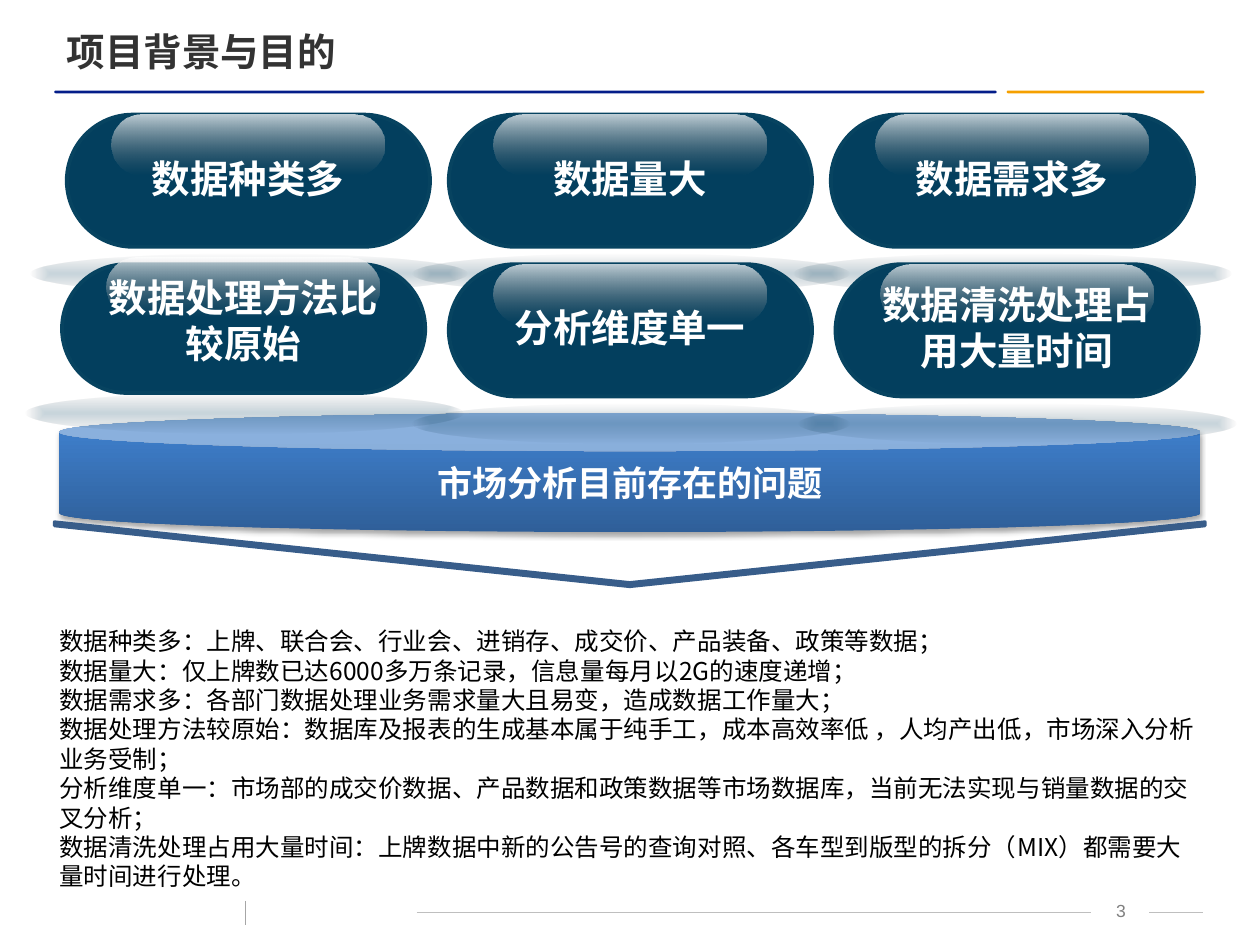
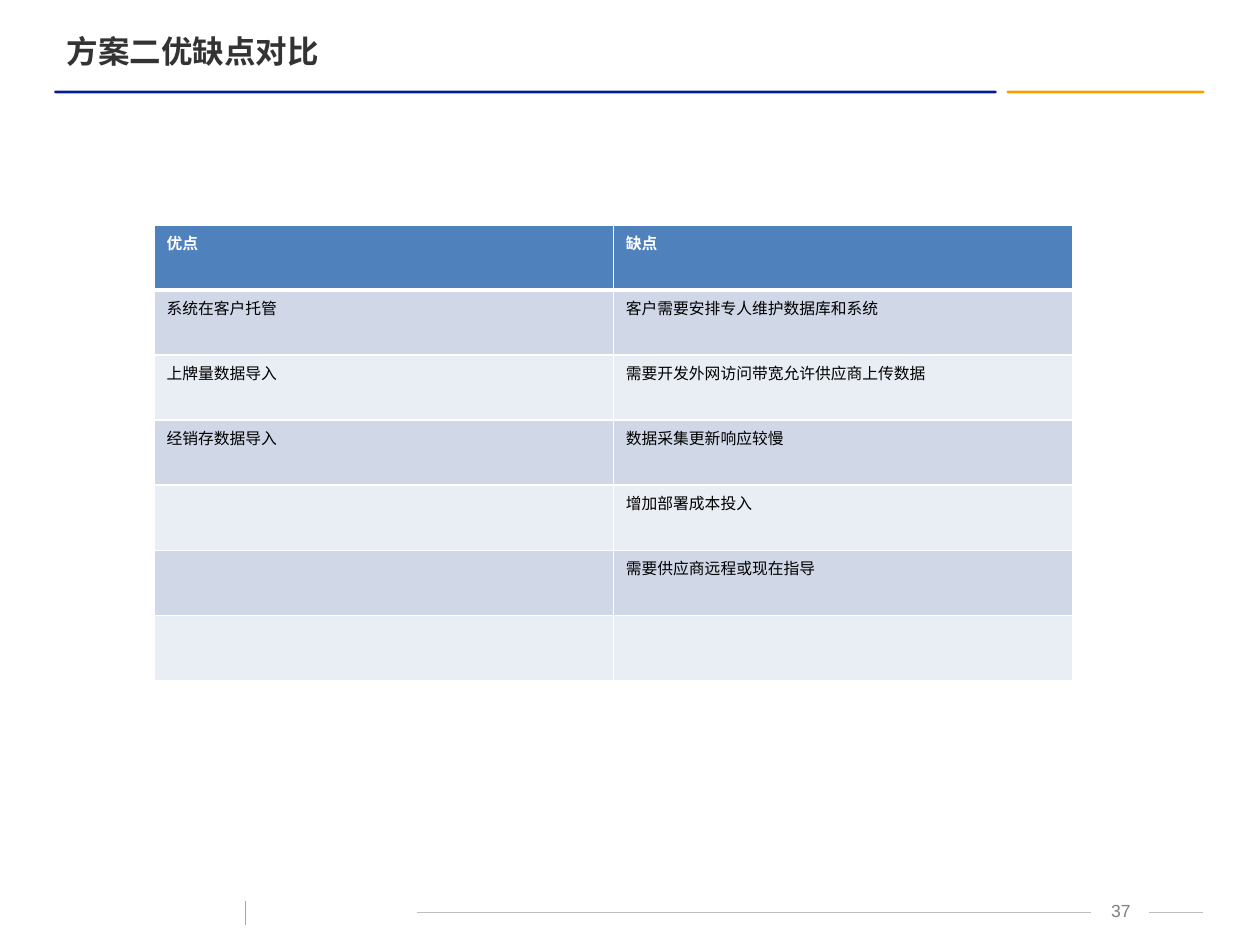
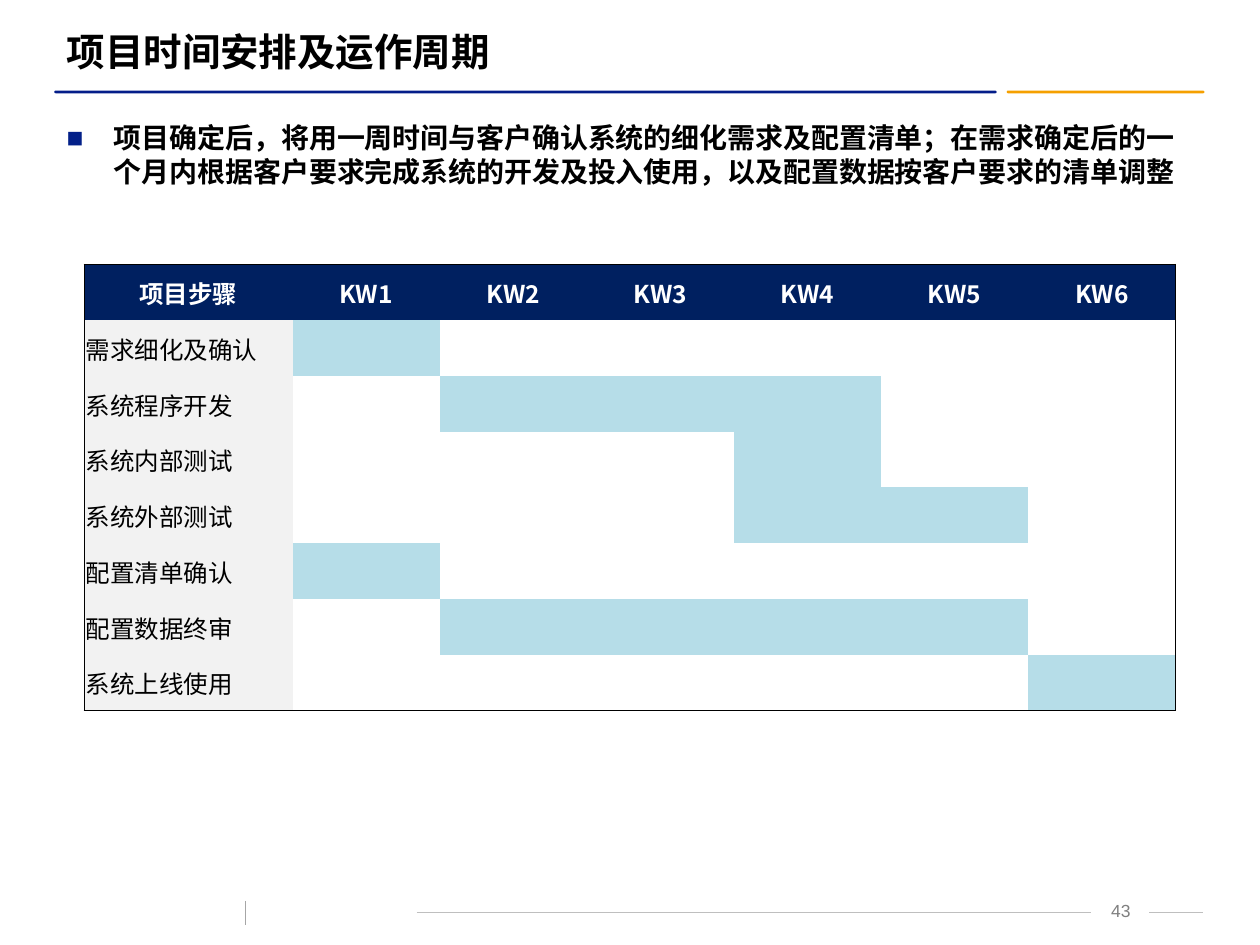
from dataclasses import dataclass

from lxml.etree import SubElement
from pptx import Presentation
from pptx.dml.color import RGBColor
from pptx.enum.shapes import MSO_CONNECTOR, MSO_SHAPE
from pptx.enum.text import MSO_ANCHOR, MSO_AUTO_SIZE, PP_ALIGN
from pptx.oxml.ns import qn
from pptx.util import Pt


@dataclass(frozen=True)
class Theme:
    latin: str = "Arial"
    chinese: str = "Noto Sans CJK SC"
    banner_font: str = "Calibri"
    white: str = "FFFFFF"
    black: str = "000000"
    title: str = "333333"
    navy: str = "031D89"
    orange: str = "F5A000"
    bullet: str = "032089"
    footer_text: str = "808080"
    footer_line: str = "BFBFBF"
    footer_tick: str = "A6A6A6"
    pill: str = "033F5E"
    pill_line: str = "074360"
    pill_shade: str = "011D2C"
    gloss_end: str = "767676"
    blue: str = "4F81BD"
    blue_line: str = "385D8A"
    band_dark: str = "D0D8E8"
    band_light: str = "E9EDF4"
    schedule_header: str = "002060"
    schedule_step: str = "F2F2F2"
    schedule_bar: str = "B6DDE8"
    title_size: float = 22
    small_title_size: float = 18
    banner_size: float = 20
    lead_size: float = 16
    body_size: float = 14
    footer_size: float = 10
    table_size: float = 9
    line_height: float = 1.2


THEME = Theme()
PLAIN_TABLE_STYLE = "{2D5ABB26-0587-4C30-8999-92F81FD0307C}"

PROBLEM_ROWS = [
    ["数据种类多", "数据量大", "数据需求多"],
    ["数据处理方法比较原始", "分析维度单一", "数据清洗处理占用大量时间"],
]
PROBLEM_DETAILS = [
    "数据种类多：上牌、联合会、行业会、进销存、成交价、产品装备、政策等数据；",
    "数据量大：仅上牌数已达6000多万条记录，信息量每月以2G的速度递增；",
    "数据需求多：各部门数据处理业务需求量大且易变，造成数据工作量大；",
    "数据处理方法较原始：数据库及报表的生成基本属于纯手工，成本高效率低 ，人均产出低，市场深入分析业务受制；",
    "分析维度单一：市场部的成交价数据、产品数据和政策数据等市场数据库，当前无法实现与销量数据的交叉分析；",
    "数据清洗处理占用大量时间：上牌数据中新的公告号的查询对照、各车型到版型的拆分（MIX）都需要大量时间进行处理。",
]
COMPARISON = [
    ("优点", "缺点"),
    ("系统在客户托管", "客户需要安排专人维护数据库和系统"),
    ("上牌量数据导入", "需要开发外网访问带宽允许供应商上传数据"),
    ("经销存数据导入", "数据采集更新响应较慢"),
    ("", "增加部署成本投入"),
    ("", "需要供应商远程或现在指导"),
    ("", ""),
]
LEAD = ("项目确定后，将用一周时间与客户确认系统的细化需求及配置清单；在需求确定后的一"
        "个月内根据客户要求完成系统的开发及投入使用，以及配置数据按客户要求的清单调整")
WEEKS = 6
# Step, first week, last week
SCHEDULE = [
    ("需求细化及确认", 1, 1),
    ("系统程序开发", 2, 4),
    ("系统内部测试", 4, 4),
    ("系统外部测试", 4, 5),
    ("配置清单确认", 1, 1),
    ("配置数据终审", 2, 5),
    ("系统上线使用", 6, 6),
]


def rgb(color):
    return RGBColor.from_string(color)


def points(*values):
    return [Pt(value) for value in values]


def format_text(text_frame, size, color, bold=False, font=THEME.latin,
                align=PP_ALIGN.LEFT, fixed_lines=False):
    for paragraph in text_frame.paragraphs:
        paragraph.alignment = align
        if fixed_lines:
            paragraph.line_spacing = Pt(size * THEME.line_height)
        for run in paragraph.runs:
            run.font.size = Pt(size)
            run.font.bold = bold
            run.font.name = font
            run.font.color.rgb = rgb(color)
            east_asian = SubElement(run.font._element, qn("a:ea"))
            east_asian.set("typeface", THEME.chinese)


def set_margins(target, left, top, right, bottom):
    (target.margin_left, target.margin_top,
     target.margin_right, target.margin_bottom) = points(left, top, right, bottom)


def add_text(slide, box, text, size, color, margins=(7.2, 3.6, 7.2, 3.6),
             anchor=MSO_ANCHOR.TOP, **style):
    text_frame = slide.shapes.add_textbox(*points(*box)).text_frame
    text_frame.word_wrap = True
    text_frame.vertical_anchor = anchor
    set_margins(text_frame, *margins)
    text_frame.text = text
    format_text(text_frame, size, color, **style)
    return text_frame


def add_shape(slide, kind, box, fill=None, line=None, line_width=1, adjustments=()):
    shape = slide.shapes.add_shape(kind, *points(*box))
    for index, value in enumerate(adjustments):
        shape.adjustments[index] = value
    if fill:
        shape.fill.solid()
        shape.fill.fore_color.rgb = rgb(fill)
    if line:
        shape.line.color.rgb = rgb(line)
        shape.line.width = Pt(line_width)
    else:
        shape.line.fill.background()
    shape.shadow.inherit = False
    return shape


def add_color(parent, color, opacity=100):
    element = SubElement(parent, qn("a:srgbClr"), val=color)
    if opacity < 100:
        SubElement(element, qn("a:alpha"), val=str(opacity * 1000))


def fill_gradient(shape, stops, angle=None):
    """Fill with (position, colour, opacity) stops; without an angle, from the centre."""
    shape.fill.background()
    properties = shape._element.spPr
    empty_fill = properties.find(qn("a:noFill"))
    gradient = SubElement(properties, qn("a:gradFill"), rotWithShape="1")
    properties.replace(empty_fill, gradient)
    stop_list = SubElement(gradient, qn("a:gsLst"))
    for position, color, opacity in stops:
        stop = SubElement(stop_list, qn("a:gs"), pos=str(position * 1000))
        add_color(stop, color, opacity)
    if angle is None:
        center = SubElement(gradient, qn("a:path"), {"path": "shape"})
        SubElement(center, qn("a:fillToRect"), l="50000", t="50000", r="50000", b="50000")
    else:
        SubElement(gradient, qn("a:lin"), ang=str(angle * 60000), scaled="0")


def add_soft_shadow(shape):
    effects = shape._element.spPr.find(qn("a:effectLst"))
    shadow = SubElement(effects, qn("a:outerShdw"), blurRad=str(Pt(3.1)),
                        dist=str(Pt(1.8)), dir="5400000", rotWithShape="0")
    add_color(shadow, THEME.black, 35)


def add_line(slide, start, end, color):
    line = slide.shapes.add_connector(MSO_CONNECTOR.STRAIGHT, *points(*start, *end))
    line.line.color.rgb = rgb(color)
    line.line.width = Pt(0.75)
    SubElement(line._element.spPr, qn("a:effectLst"))


def add_titled_slide(presentation, title, number, size=THEME.title_size, color=THEME.title):
    """Add a slide with its title, the two header rules and the footer."""
    slide = presentation.slides.add_slide(presentation.slide_layouts[5])
    for left, width, fill in ((575.3, 113, THEME.orange), (31, 538.5, THEME.navy)):
        add_shape(slide, MSO_SHAPE.ROUNDED_RECTANGLE, (left, 51.8, width, 1.5),
                  fill, adjustments=[0.5])
    add_text(slide, (623.5, 510.5, 34, 18), str(number), THEME.footer_size,
             THEME.footer_text, align=PP_ALIGN.CENTER)
    add_line(slide, (238.3, 521.3), (623.5, 521.3), THEME.footer_line)
    add_line(slide, (140.4, 514.8), (140.4, 528.5), THEME.footer_tick)
    add_line(slide, (656.6, 521.3), (687.6, 521.3), THEME.footer_line)

    heading = slide.shapes.title
    heading.left, heading.top, heading.width, heading.height = points(31, 12.2, 655, 34)
    text_frame = heading.text_frame
    text_frame.text = title
    text_frame.auto_size = MSO_AUTO_SIZE.NONE
    text_frame.vertical_anchor = MSO_ANCHOR.MIDDLE
    format_text(text_frame, size, color, bold=True)
    return slide


def add_pill(slide, label, left, top, height=75.5, lift=0):
    """Add a glossy pill; lift raises its gloss, label and floor shadow."""
    floor = add_shape(slide, MSO_SHAPE.OVAL, (left - 21, top + height + 4 - lift, 250, 23))
    fill_gradient(floor, [(0, THEME.pill, 22), (100, THEME.pill_shade, 0)])
    add_shape(slide, MSO_SHAPE.ROUNDED_RECTANGLE, (left, top, 207.5, height),
              THEME.pill, THEME.pill_line, 2.25, [0.5])
    gloss = add_shape(slide, MSO_SHAPE.ROUNDED_RECTANGLE,
                      (left + 25.5, top - lift, 156, 34), adjustments=[0.5])
    fill_gradient(gloss, [(0, THEME.white, 75), (100, THEME.gloss_end, 0)], 90)
    add_text(slide, (left + 26.5, top + 11 - lift, 154, 50), label, THEME.title_size,
             THEME.white, margins=(0, 0, 0, 0), anchor=MSO_ANCHOR.MIDDLE,
             bold=True, align=PP_ALIGN.CENTER, fixed_lines=True)


def add_pill_row(slide, labels, top, pitch, first_pill=None):
    """Center three pills; first_pill overrides the shape of the left one."""
    for column, label in enumerate(labels):
        options = first_pill if first_pill and column == 0 else {}
        add_pill(slide, label, 256.5 + (column - 1) * pitch, top, **options)


def add_banner(slide, text):
    banner = add_shape(slide, MSO_SHAPE.CAN, (34, 236, 652, 68), adjustments=[0.32])
    fill_gradient(banner, [(0, "2F5F99", 100), (80, "3D7CC7", 100), (100, "3A7CCB", 100)], 270)
    add_soft_shadow(banner)
    text_frame = banner.text_frame
    text_frame.text = text
    text_frame.word_wrap = False
    text_frame.vertical_anchor = MSO_ANCHOR.MIDDLE
    format_text(text_frame, THEME.banner_size, THEME.white, bold=True,
                font=THEME.banner_font, align=PP_ALIGN.CENTER)


def add_down_chevron(slide):
    chevron = add_shape(slide, MSO_SHAPE.NOTCHED_RIGHT_ARROW, (341.5, -12, 36.7, 657.4),
                        THEME.blue, THEME.blue_line, 2, [1, 0.946])
    chevron.rotation = 90


def add_plain_table(slide, left, top, column_widths, row_height, row_count):
    frame = slide.shapes.add_table(
        row_count, len(column_widths),
        *points(left, top, sum(column_widths), row_height * row_count))
    table = frame.table
    table.first_row = table.horz_banding = False
    for style in frame._element.iter(qn("a:tableStyleId")):
        style.text = PLAIN_TABLE_STYLE
    for column, width in zip(table.columns, column_widths):
        column.width = Pt(width)
    for row in table.rows:
        row.height = Pt(row_height)
    return table


def format_cell(cell, fill=None, borders=None):
    """Fill a cell and draw borders given as {side: (colour, width)}."""
    properties = cell._tc.get_or_add_tcPr()
    for side in "LRTB":
        if borders and side in borders:
            color, width = borders[side]
            line = SubElement(properties, qn(f"a:ln{side}"), w=str(Pt(width)))
            add_color(SubElement(line, qn("a:solidFill")), color)
    if fill:
        cell.fill.solid()
        cell.fill.fore_color.rgb = rgb(fill)
    else:
        cell.fill.background()


def set_cell_text(cell, text, size, color, **style):
    cell.text_frame.text = text
    format_text(cell.text_frame, size, color, font=THEME.chinese, **style)


def add_comparison_table(slide):
    table = add_plain_table(slide, 88, 128.5, [262.5, 262.5], 37.2, len(COMPARISON))
    for row, texts in enumerate(COMPARISON):
        header = row == 0
        fill = THEME.blue if header else (THEME.band_light, THEME.band_dark)[row % 2]
        borders = {side: (THEME.white, 1) for side in "LRTB"}
        if header:
            borders["B"] = (THEME.white, 3)
        elif row == 1:
            borders["T"] = (THEME.white, 3)
        for column, text in enumerate(texts):
            cell = table.cell(row, column)
            format_cell(cell, fill, borders)
            set_cell_text(cell, text, THEME.table_size,
                          THEME.white if header else THEME.black, bold=header)


def add_schedule(slide):
    table = add_plain_table(slide, 48.2, 151.2, [119] + [84.1] * WEEKS, 31.86,
                            len(SCHEDULE) + 1)
    last_row = len(SCHEDULE)
    headings = ["项目步骤"] + [f"KW{week}" for week in range(1, WEEKS + 1)]
    for row in range(last_row + 1):
        for week, heading in enumerate(headings):
            cell = table.cell(row, week)
            edges = {"L": week == 0, "R": week == WEEKS, "T": row == 0, "B": row == last_row}
            borders = {side: (THEME.black, 1) for side, outer in edges.items() if outer}
            cell.vertical_anchor = MSO_ANCHOR.MIDDLE
            set_margins(cell, 0.7, 0.7, 0.7, 0)
            if row == 0:
                format_cell(cell, THEME.schedule_header, borders)
                set_cell_text(cell, heading, THEME.body_size, THEME.white,
                              bold=True, align=PP_ALIGN.CENTER)
                continue
            step, first, last = SCHEDULE[row - 1]
            if week == 0:
                format_cell(cell, THEME.schedule_step, borders)
                set_cell_text(cell, step, THEME.body_size, THEME.black)
            else:
                format_cell(cell, THEME.schedule_bar if first <= week <= last else None, borders)


def add_bullet(paragraph, color, indent):
    properties = paragraph._p.get_or_add_pPr()
    properties.set("marL", str(Pt(indent)))
    properties.set("indent", str(-Pt(indent)))
    add_color(SubElement(properties, qn("a:buClr")), color)
    SubElement(properties, qn("a:buFont"), typeface=THEME.latin)
    SubElement(properties, qn("a:buChar"), char="■")


def build_background_slide(presentation):
    slide = add_titled_slide(presentation, "项目背景与目的", 3)
    add_text(slide, (31, 349.2, 655, 170), "\n".join(PROBLEM_DETAILS), THEME.body_size,
             THEME.black, margins=(2.9, 8.6, 2.9, 8.6), font=THEME.chinese, fixed_lines=True)
    add_pill_row(slide, PROBLEM_ROWS[0], 65.5, 218.3)
    add_banner(slide, "市场分析目前存在的问题")
    add_down_chevron(slide)
    add_pill_row(slide, PROBLEM_ROWS[1], 151, 221, {"height": 73.5, "lift": 4})


def build_comparison_slide(presentation):
    slide = add_titled_slide(presentation, "方案二优缺点对比", 37, THEME.small_title_size)
    add_comparison_table(slide)


def build_schedule_slide(presentation):
    slide = add_titled_slide(presentation, "项目时间安排及运作周期", 43, color=THEME.black)
    lead = add_text(slide, (31, 65.5, 648, 65), LEAD, THEME.lead_size, THEME.black,
                    bold=True, fixed_lines=True)
    add_bullet(lead.paragraphs[0], THEME.bullet, 27)
    add_schedule(slide)


def main():
    presentation = Presentation()
    presentation.slide_width, presentation.slide_height = points(720, 540)
    build_background_slide(presentation)
    build_comparison_slide(presentation)
    build_schedule_slide(presentation)
    presentation.save("out.pptx")


if __name__ == "__main__":
    main()
